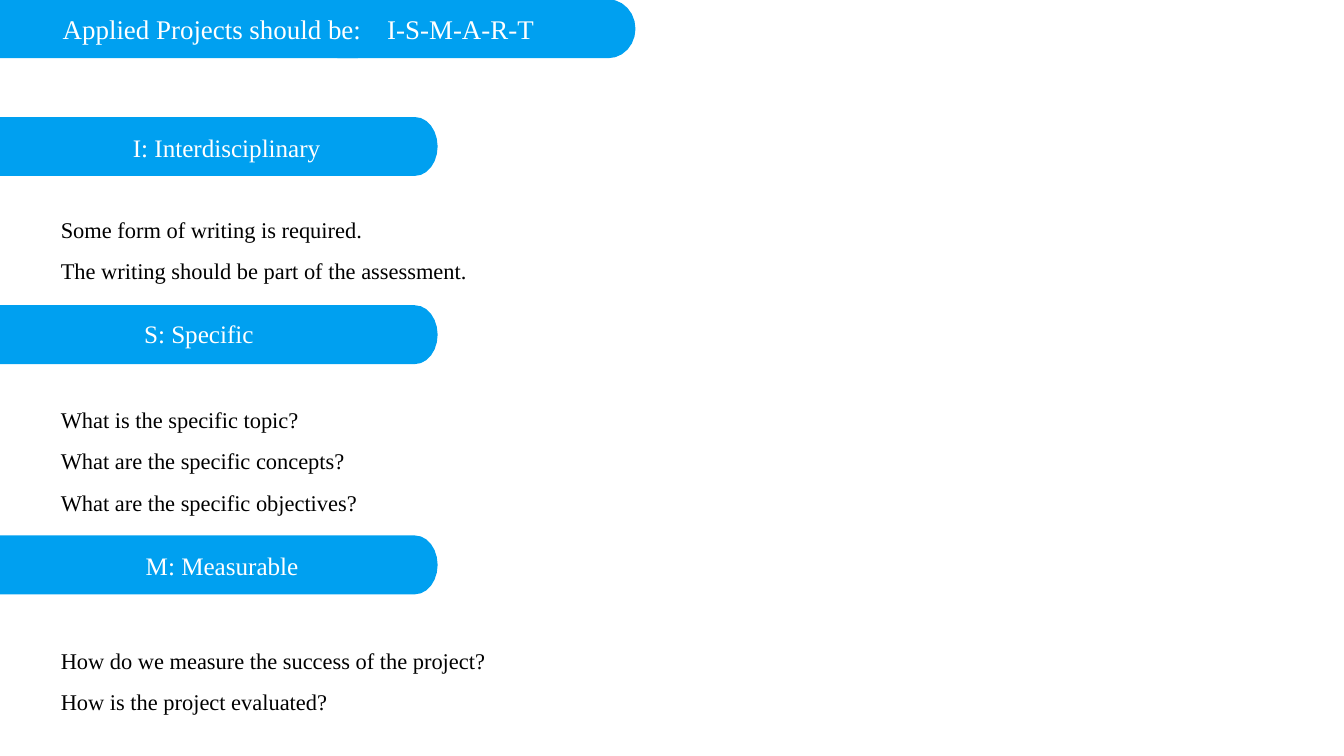
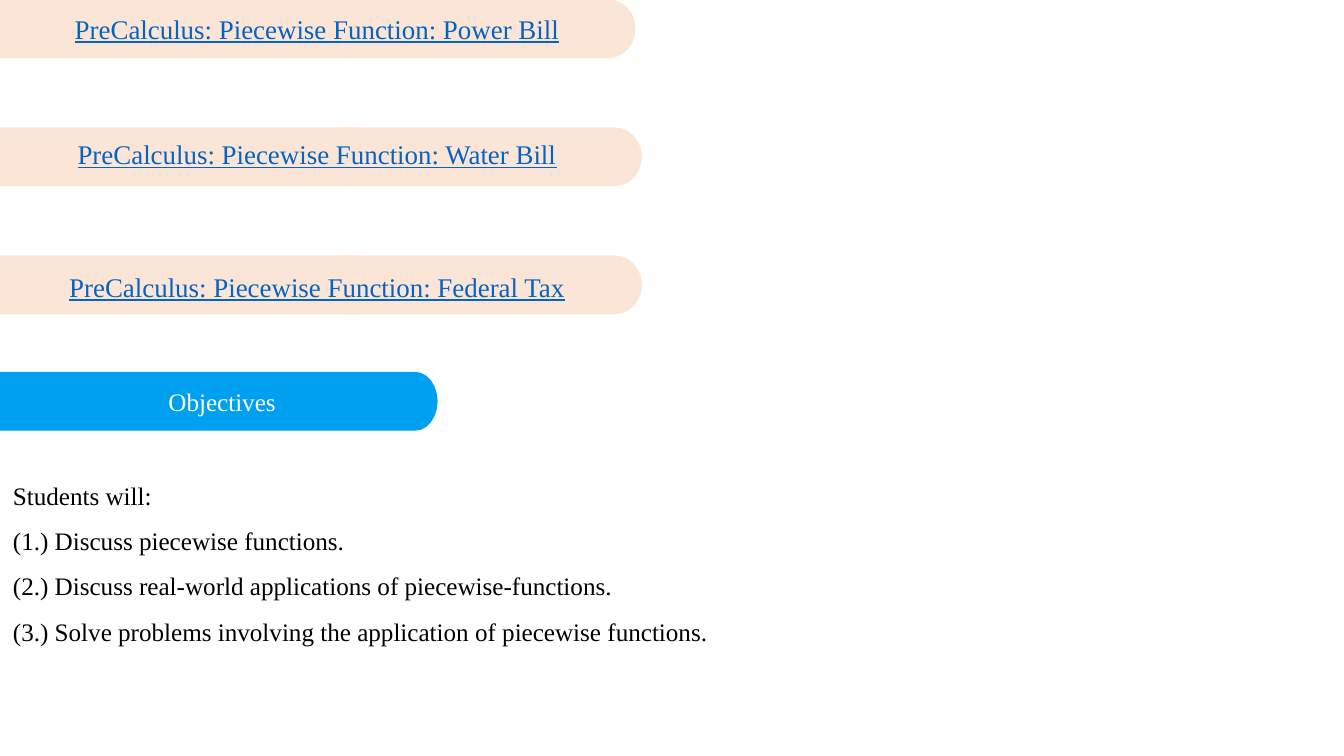
from math import cos, pi, sin
from lxml.etree import SubElement
from pptx import Presentation
from pptx.dml.color import RGBColor
from pptx.enum.text import PP_ALIGN as Align
from pptx.oxml.ns import qn
from pptx.util import Pt

SCALE = 9144
PAGE_WIDTH, PAGE_HEIGHT = 2079, 1169
BAND_HEIGHT = 91
ARC_STEPS = 12
FONT = "Times New Roman"
BLUE = RGBColor(0x00, 0xA0, 0xF0)
PEACH = RGBColor(0xFB, 0xE5, 0xD6)
LINK = RGBColor(0x05, 0x63, 0xC1)
WHITE = RGBColor(0xFF, 0xFF, 0xFF)
BLACK = RGBColor(0x00, 0x00, 0x00)


def px(length):
    return round(length * SCALE)


def add_tab(page, left, top, width, corner, color):
    center_x, radius_y = left + width - corner, BAND_HEIGHT / 2
    angles = [pi * step / ARC_STEPS - pi / 2 for step in range(ARC_STEPS + 1)]
    arc = [(px(center_x + corner * cos(angle)), px(top + radius_y * (1 + sin(angle))))
           for angle in angles]
    builder = page.shapes.build_freeform(px(left), px(top), scale=1.0)
    builder.add_line_segments(arc + [(px(left), px(top + BAND_HEIGHT))], close=True)
    tab = builder.convert_to_shape()
    tab.shadow.inherit = False
    tab.fill.solid()
    tab.fill.fore_color.rgb = color
    tab.line.fill.background()


def add_text(page, left, top, width, height, lines, size, color,
             align=Align.LEFT, spacing=1.0, gap=0, underline=None, tab_stop=None):
    box = page.shapes.add_textbox(px(left), px(top), px(width), px(height))
    frame = box.text_frame
    frame.word_wrap = True
    frame.margin_left = frame.margin_right = frame.margin_bottom = 0
    frame.margin_top = px(2)
    for index, line in enumerate(lines):
        para = frame.add_paragraph() if index else frame.paragraphs[0]
        para.text = line
        para.alignment = align
        para.line_spacing = spacing
        if index and gap:
            para.space_before = Pt(gap)
        if tab_stop:
            stops = SubElement(para._p.get_or_add_pPr(), qn("a:tabLst"))
            SubElement(stops, qn("a:tab"), pos=str(px(tab_stop)), algn="l")
        font = para.font
        font.name = FONT
        font.size = Pt(size)
        font.color.rgb = color
        font.underline = underline


def add_banner(page, top, right_start, color):
    add_tab(page, 0, top, 606, 55, color)
    add_tab(page, right_start, top, 461, 42, color)


def add_heading(page, top, text, text_left, text_offset=21):
    add_tab(page, 0, top, 677, 35, BLUE)
    add_text(page, text_left, top + text_offset, 521, 49, [text], 28, WHITE, Align.CENTER)


def add_smart_page(page):
    add_banner(page, -1, 522, BLUE)
    add_text(page, 97, 17, 753, 52, ["Applied Projects should be:\tI-S-M-A-R-T"],
             30, WHITE, tab_stop=502)
    sections = [
        (181, "I: Interdisciplinary", 90, 21, 311,
         ["Some form of writing is required.",
          "The writing should be part of the assessment."]),
        (472, "S: Specific", 47, 18, 605,
         ["What is the specific topic?",
          "What are the specific concepts?",
          "What are the specific objectives?"]),
        (828, "M: Measurable", 83, 21, 978,
         ["How do we measure the success of the project?",
          "How is the project evaluated?"]),
    ]
    for top, title, title_left, title_offset, body_top, lines in sections:
        add_heading(page, top, title, title_left, title_offset)
        add_text(page, 94, body_top, 868, 37 + 64 * len(lines), lines, 25, BLACK,
                 spacing=1.5, gap=1)


def add_projects_page(page):
    projects = [("Power Bill", -1, 522, 18),
                ("Water Bill", 197, 532, 14),
                ("Federal Tax", 395, 532, 21)]
    for name, top, right_start, text_offset in projects:
        add_banner(page, top, right_start, PEACH)
        add_text(page, 85, top + text_offset, 811, 52,
                 [f"PreCalculus: Piecewise Function: {name}"], 30, LINK,
                 Align.CENTER, underline=True)
    add_heading(page, 575, "Objectives", 83)
    add_text(page, 20, 717, 2006, 339,
             ["Students will:",
              "(1.) Discuss piecewise functions.",
              "(2.) Discuss real-world applications of piecewise-functions.",
              "(3.) Solve problems involving the application of piecewise functions."],
             28, BLACK, spacing=1.5)


def main():
    deck = Presentation()
    deck.slide_width, deck.slide_height = px(PAGE_WIDTH), px(PAGE_HEIGHT)
    for fill_page in (add_smart_page, add_projects_page):
        fill_page(deck.slides.add_slide(deck.slide_layouts[6]))
    deck.save("out.pptx")


if __name__ == "__main__":
    main()
